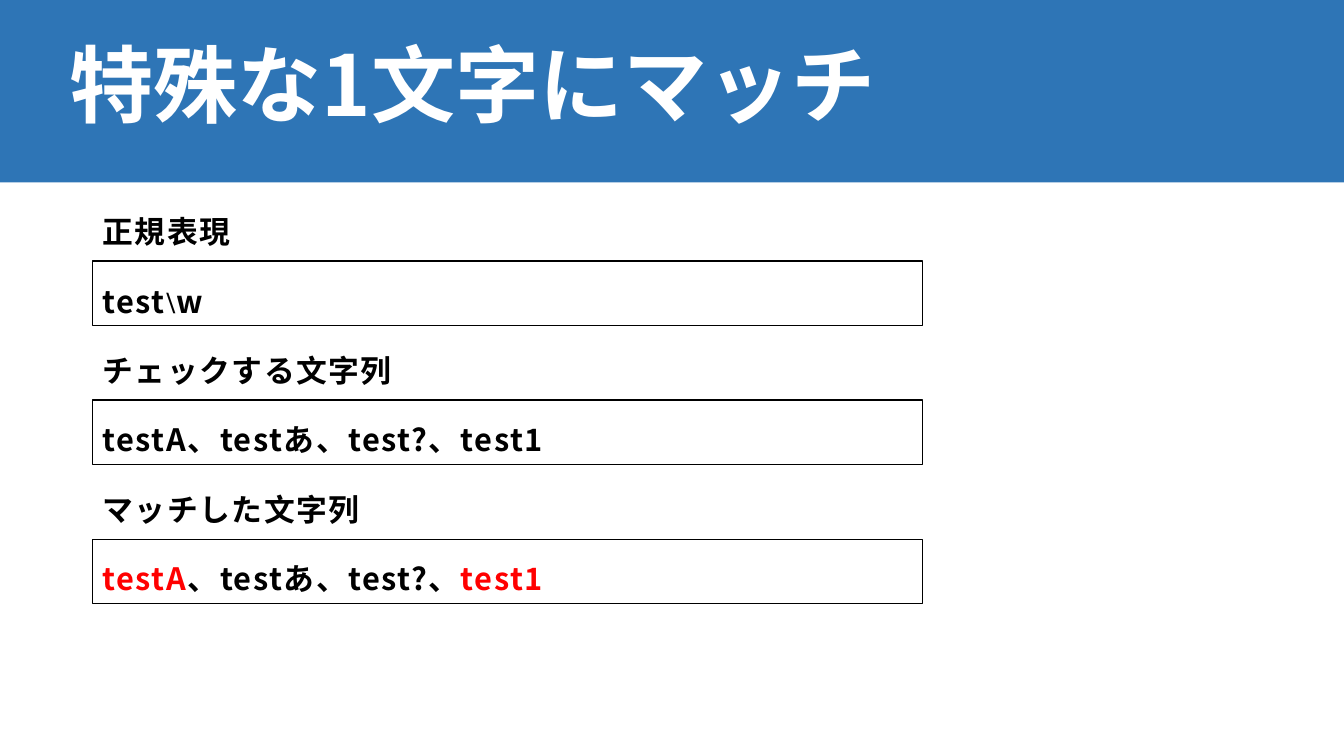
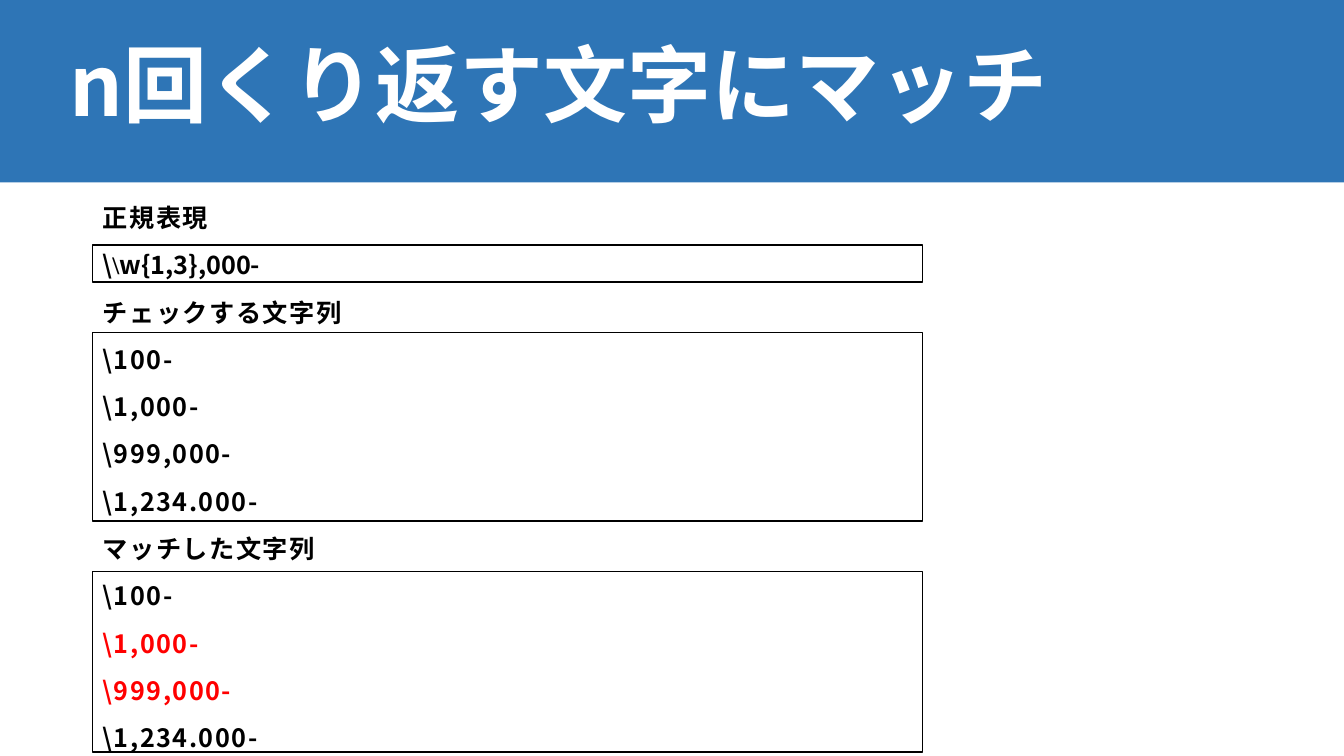
"""Builds two slides on matching text with regular expressions."""
from dataclasses import dataclass
from lxml.etree import SubElement
from pptx import Presentation
from pptx.dml.color import RGBColor
from pptx.enum.shapes import MSO_SHAPE
from pptx.enum.text import MSO_ANCHOR
from pptx.oxml.ns import qn
from pptx.util import Inches, Pt


@dataclass(frozen=True)
class Theme:
    band: RGBColor = RGBColor(0x2E, 0x75, 0xB6)
    white: RGBColor = RGBColor(0xFF, 0xFF, 0xFF)
    ink: RGBColor = RGBColor(0, 0, 0)
    hit: RGBColor = RGBColor(0xFF, 0, 0)
    font: str = "Noto Sans CJK JP"
    serif: str = "Times New Roman"
    title_size: int = 60
    tracking: float = 1.1


T = Theme()
LEFT, BOX_W, TEXT_W = 0.92, 8.23, 11.5
PATTERN, CHECKED, MATCHED = "正規表現", "チェックする文字列", "マッチした文字列"

SLIDES = [
    {
        "title": "特殊な1文字にマッチ",
        "size": 22, "leading": 1.5, "top": 1.88, "height": 4.76,
        "pattern_tracking": T.tracking,
        "boxes": [(2.59 + 1.38 * i, 0.64) for i in range(3)],
        "sections": [
            (PATTERN, [[("test", "ink"), ("\\", "serif"), ("w", "ink")]]),
            (CHECKED, [[("testA、testあ、test?、test1", "ink")]]),
            (MATCHED, [[("testA", "hit"), ("、testあ、test?、", "ink"), ("test1", "hit")]]),
        ],
    },
    {
        "title": "n回くり返す文字にマッチ",
        "size": 18, "leading": 1.1, "top": 1.93, "height": 5.57,
        "pattern_tracking": 0,
        "boxes": [(2.43, 0.37), (3.3, 1.87), (5.67, 1.79)],
        "sections": [
            (PATTERN, [[("\\", "ink"), ("\\", "serif"), ("w{1,3},000-", "ink")]]),
            (CHECKED, [[(s, "ink")] for s in
                       (r"\100-", r"\1,000-", r"\999,000-", r"\1,234.000-")]),
            (MATCHED, [[(r"\100-", "ink")], [(r"\1,000-", "hit")],
                       [(r"\999,000-", "hit")], [(r"\1,234.000-", "ink")]]),
        ],
    },
]


def add_run(p, text, size, color, font=T.font, tracking=0):
    r = p.add_run()
    r.text = text
    r.font.size = Pt(size)
    r.font.bold = True
    r.font.color.rgb = color
    r.font.name = font
    rPr = r.font._element
    rPr.set("spc", str(round(tracking * 100)))
    SubElement(rPr, qn("a:ea")).set("typeface", font)


def add_rect(s, left, top, width, height):
    sp = s.shapes.add_shape(MSO_SHAPE.RECTANGLE, Inches(left), Inches(top),
                            Inches(width), Inches(height))
    sp.shadow.inherit = False
    return sp


prs = Presentation()
prs.slide_width, prs.slide_height = Inches(13.33), Inches(7.5)

for page in SLIDES:
    s = prs.slides.add_slide(prs.slide_layouts[6])

    band = add_rect(s, 0, 0, 13.33, 1.81)
    band.fill.solid()
    band.fill.fore_color.rgb = T.band
    band.line.fill.background()

    tf = s.shapes.add_textbox(Inches(0.59), Inches(0.16), Inches(TEXT_W), Inches(1.45)).text_frame
    tf.word_wrap = True
    tf.vertical_anchor = MSO_ANCHOR.MIDDLE
    p = tf.paragraphs[0]
    p.line_spacing = 0.9
    add_run(p, page["title"], T.title_size, T.white)

    tf = s.shapes.add_textbox(Inches(LEFT), Inches(page["top"]),
                              Inches(TEXT_W), Inches(page["height"])).text_frame
    tf.word_wrap = True
    p = tf.paragraphs[0]
    for heading, lines in page["sections"]:
        for i, line in enumerate([[(heading, "ink")]] + lines):
            if p.runs:
                p = tf.add_paragraph()
            p.line_spacing = page["leading"]
            p.space_before = Pt(10)
            in_pattern = heading == PATTERN and i > 0
            tracking = page["pattern_tracking"] if in_pattern else T.tracking
            for text, kind in line:
                add_run(p, text, page["size"], T.hit if kind == "hit" else T.ink,
                        T.serif if kind == "serif" else T.font, tracking)

    for top, height in page["boxes"]:
        box = add_rect(s, LEFT, top, BOX_W, height)
        box.fill.background()
        box.line.color.rgb = T.ink
        box.line.width = Pt(1)

prs.save("out.pptx")
